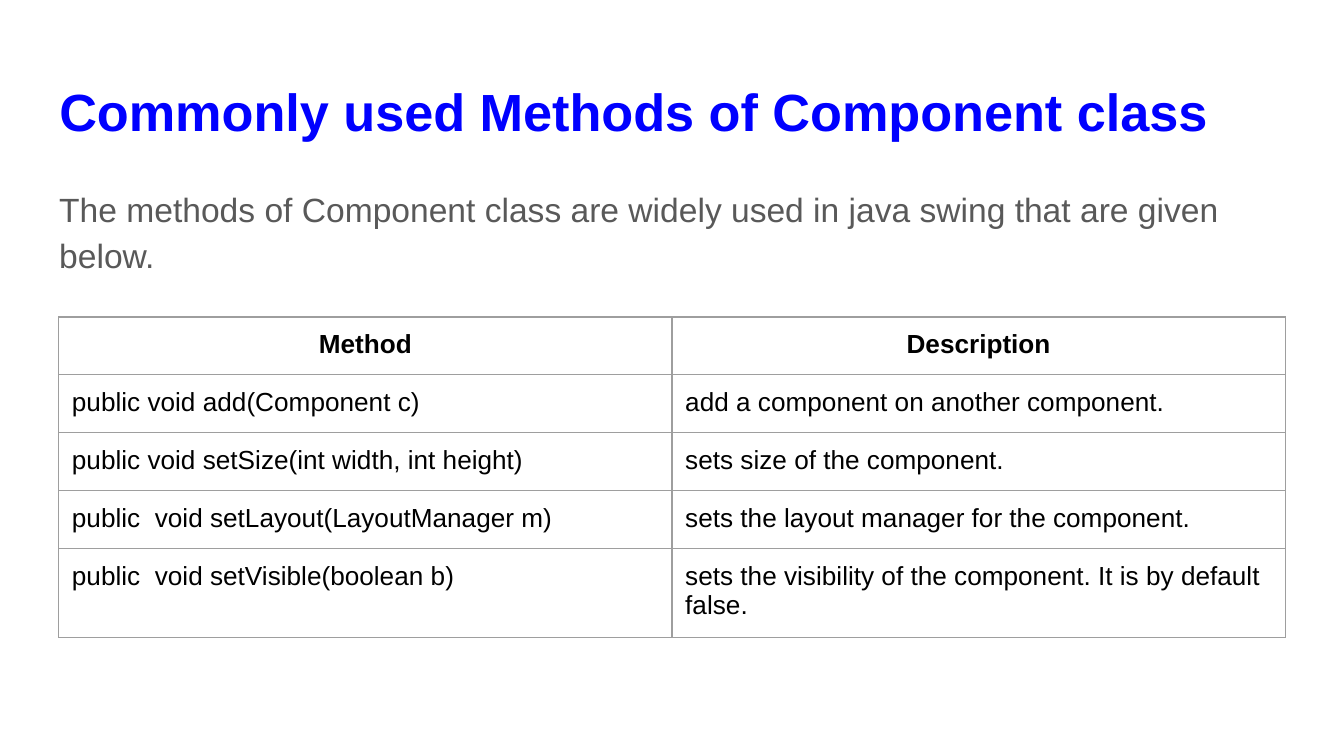
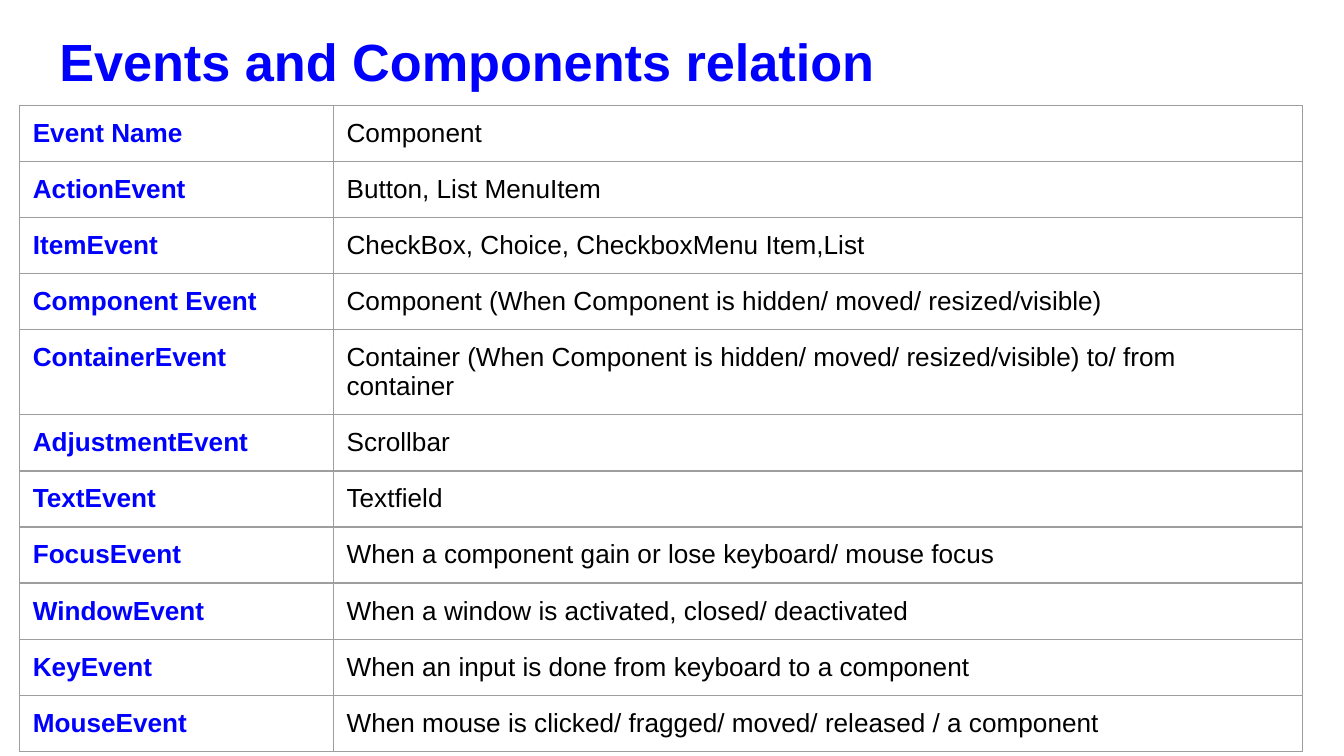
from lxml import etree
from pptx import Presentation, util as u
from pptx.dml.color import RGBColor
from pptx.enum import text as t
from pptx.oxml.ns import qn

HUES = {"blue": "0000FF", "black": "000000", "gray": "595959", "rule": "9E9E9E"}
PAD = u.Cm(0.25)
ROW = u.Cm(1.06)
LEFT, WIDE = u.Cm(0.87), u.Cm(23.67)

# Each page: title top, intro, table left and top, column widths, rows
PAGES = [
    {
        "title": "Commonly used Methods of Component class",
        "top": 1.24,
        "intro": "The methods of Component class are widely used in java swing that are given below.",
        "at": (1.11, 5.99),
        "cols": (11.59, 11.59),
        "header": True,
        "rows": [
            ("Method", "Description"),
            ("public void add(Component c)", "add a component on another component."),
            ("public void setSize(int width, int height)", "sets size of the component."),
            ("public  void setLayout(LayoutManager m)", "sets the layout manager for the component."),
            ("public  void setVisible(boolean b)",
             "sets the visibility of the component. It is by default false."),
        ],
    },
    {
        "title": "Events and Components relation",
        "top": 0.3,
        "intro": None,
        "at": (0.37, 1.99),
        "cols": (5.93, 18.32),
        "header": False,
        "rows": [
            ("Event Name", "Component"),
            ("ActionEvent", "Button, List MenuItem"),
            ("ItemEvent", "CheckBox, Choice, CheckboxMenu Item,List"),
            ("Component Event", "Component (When Component is hidden/ moved/ resized/visible)"),
            ("ContainerEvent",
             "Container (When Component is hidden/ moved/ resized/visible) to/ from container"),
            ("AdjustmentEvent", "Scrollbar"),
            ("TextEvent", "Textfield"),
            ("FocusEvent", "When a component gain or lose keyboard/ mouse focus"),
            ("WindowEvent", "When a window is activated, closed/ deactivated"),
            ("KeyEvent", "When an input is done from keyboard to a component"),
            ("MouseEvent", "When mouse is clicked/ fragged/ moved/ released / a component"),
        ],
    },
]


def write(frame, words, size, hue, bold=False, align=t.PP_ALIGN.LEFT):
    """Fill a text frame with one styled paragraph and return it."""
    frame.word_wrap = True
    para = frame.paragraphs[0]
    para.text = words
    para.alignment = align
    para.font.name = "Arial"
    para.font.size = u.Pt(size)
    para.font.bold = bold
    para.font.color.rgb = RGBColor.from_string(HUES[hue])
    return para


def pad(box):
    """Give a cell or text frame equal margins on all sides."""
    box.margin_left = box.margin_right = box.margin_top = box.margin_bottom = PAD
    box.vertical_anchor = t.MSO_ANCHOR.TOP


deck = Presentation()
deck.slide_width, deck.slide_height = u.Cm(25.4), u.Cm(14.29)

for page in PAGES:
    slide = deck.slides.add_slide(deck.slide_layouts[5])
    title = slide.shapes.title
    title.left, title.top = LEFT, u.Cm(page["top"])
    title.width, title.height = WIDE, u.Cm(1.6)
    pad(title.text_frame)
    title.text_frame.auto_size = t.MSO_AUTO_SIZE.NONE
    write(title.text_frame, page["title"], 28, "blue", True)

    if page["intro"]:
        intro = slide.shapes.add_textbox(LEFT, u.Cm(3.2), WIDE, u.Cm(9.5)).text_frame
        pad(intro)
        para = write(intro, page["intro"], 18, "gray")
        para.line_spacing = 1.15
        para.space_after = u.Pt(16)

    rows, cols = page["rows"], page["cols"]
    left, top = page["at"]
    grid = slide.shapes.add_table(len(rows), len(cols), u.Cm(left), u.Cm(top),
                                  u.Cm(sum(cols)), ROW * len(rows)).table
    grid.first_row = page["header"]
    grid.horz_banding = False
    for col, wide in zip(grid.columns, cols):
        col.width = u.Cm(wide)

    for r, row in enumerate(rows):
        grid.rows[r].height = ROW
        for c, words in enumerate(row):
            cell = grid.cell(r, c)
            pad(cell)
            head = page["header"] and r == 0
            label = not page["header"] and c == 0
            write(cell.text_frame, words, 14, "blue" if label else "black", head or label,
                  t.PP_ALIGN.CENTER if head else t.PP_ALIGN.LEFT)
            props = cell._tc.get_or_add_tcPr()
            for side in ("a:lnL", "a:lnR", "a:lnT", "a:lnB"):
                line = etree.SubElement(props, qn(side), w=str(u.Pt(0.75)))
                fill = etree.SubElement(line, qn("a:solidFill"))
                etree.SubElement(fill, qn("a:srgbClr"), val=HUES["rule"])
            cell.fill.background()

deck.save("out.pptx")
